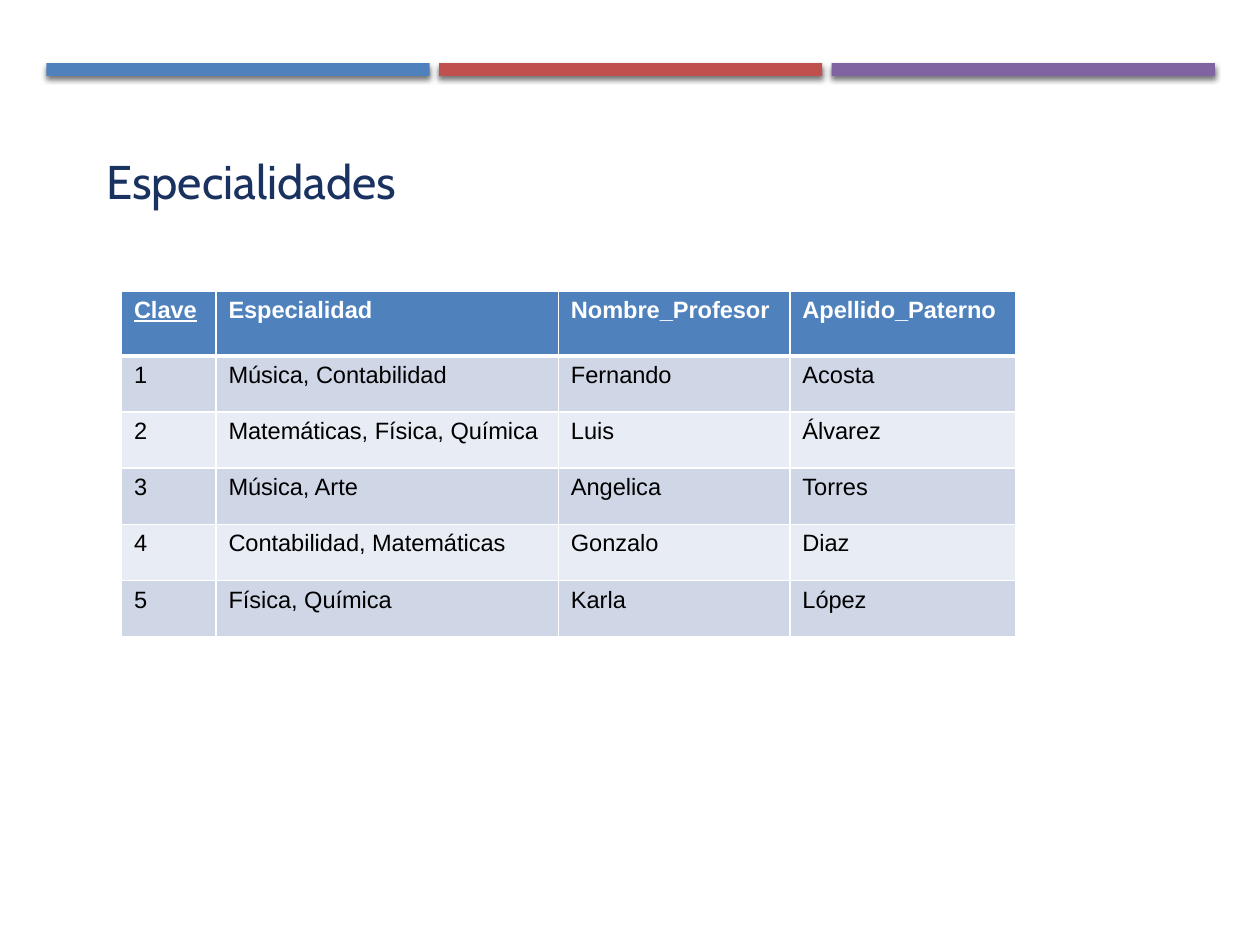
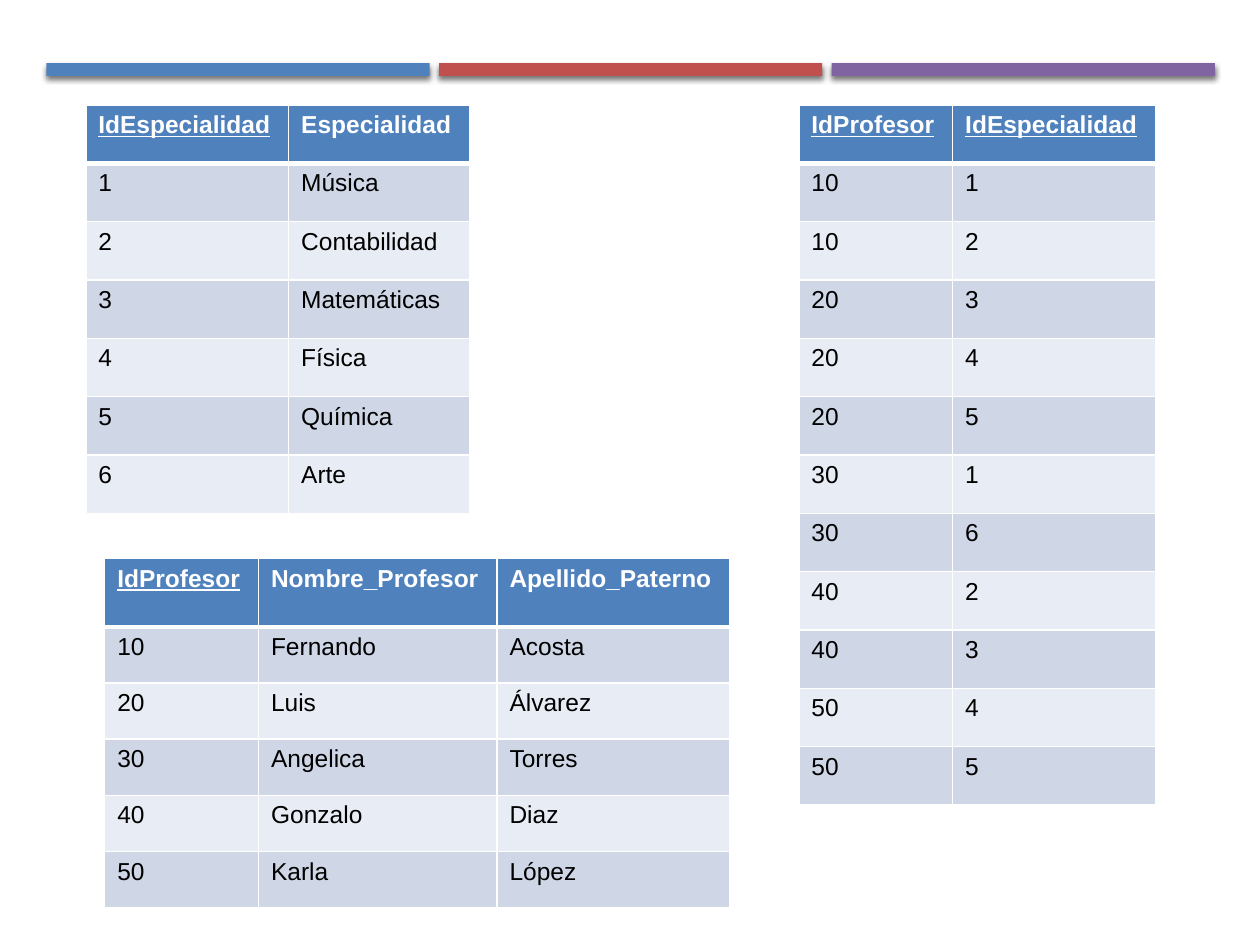
"""Two slides on normalising a table of teachers and their specialities."""
from dataclasses import dataclass

from lxml import etree
from pptx import Presentation
from pptx import util as u
from pptx.dml.color import RGBColor
from pptx.enum import shapes, text
from pptx.oxml import ns

COLORS = {
    "blue": "4F81BD",
    "red": "C0504D",
    "purple": "8064A2",
    "navy": "1A3260",
    "stripe_dark": "CFD7E7",
    "stripe_light": "E8ECF4",
    "white": "FFFFFF",
    "black": "000000",
}
BAND_LEFT, BAND_TOP, BAND_WIDTH, BAND_HEIGHT, BAND_STEP = 26.6, 36, 219, 7.4, 224.3
THIN_BORDER, HEADER_BORDER = 1, 3
TITLE_ONLY, BLANK = 5, 6


@dataclass(frozen=True)
class DataTable:
    """A table: place, measures in points, key columns and content."""
    left: float
    top: float
    widths: tuple[float, ...]
    header_height: float
    row_height: float
    size: float
    keys: frozenset[str]
    header: tuple[str, ...]
    records: tuple[tuple[str, ...], ...]


def rgb(name: str) -> RGBColor:
    """Look up a palette colour."""
    return RGBColor.from_string(COLORS[name])


def write(frame, words: str, *, size: float, color: str, font: str = "Arial",
          bold: bool = False, underline: bool = False) -> None:
    """Put one formatted, left-aligned run into a text frame."""
    paragraph = frame.paragraphs[0]
    paragraph.alignment = text.PP_ALIGN.LEFT
    run = paragraph.add_run()
    run.text = words
    run.font.name = font
    run.font.size = u.Pt(size)
    run.font.bold = bold
    run.font.underline = underline
    run.font.color.rgb = rgb(color)


def add_shadow(shape) -> None:
    """Give a shape a soft shadow that falls straight down."""
    shape.shadow.inherit = False
    effects = shape.element.spPr.find(ns.qn("a:effectLst"))
    shadow = etree.SubElement(effects, ns.qn("a:outerShdw"), blurRad=str(u.Pt(3)),
                              dist=str(u.Pt(2)), dir="5400000", rotWithShape="0")
    tint = etree.SubElement(shadow, ns.qn("a:srgbClr"), val=COLORS["black"])
    etree.SubElement(tint, ns.qn("a:alpha"), val="55000")


def add_master_bands(master, slide) -> None:
    """Draw the three top bands and move them to the master."""
    for place, color in enumerate(("blue", "red", "purple")):
        band = slide.shapes.add_shape(
            shapes.MSO_SHAPE.RECTANGLE, u.Pt(BAND_LEFT + place * BAND_STEP),
            u.Pt(BAND_TOP), u.Pt(BAND_WIDTH), u.Pt(BAND_HEIGHT))
        band.fill.solid()
        band.fill.fore_color.rgb = rgb(color)
        band.line.fill.background()
        add_shadow(band)
        band.element.nvSpPr.cNvPr.set("id", str(100 + place))
        master.shapes.element.append(band.element)


def add_title(slide, words: str) -> None:
    """Place and fill the title placeholder."""
    title = slide.shapes.title
    title.left, title.top = u.Pt(55.4), u.Pt(80.6)
    title.width, title.height = u.Pt(649.4), u.Pt(45.4)
    frame = title.text_frame
    frame.margin_left = frame.margin_right = u.Pt(5.3)
    frame.margin_top = frame.margin_bottom = u.Pt(2.7)
    frame.word_wrap = True
    frame.auto_size = text.MSO_AUTO_SIZE.NONE
    frame.vertical_anchor = text.MSO_ANCHOR.MIDDLE
    write(frame, words, size=27, color="navy", font="Cabin")


def set_borders(cell, top: float, bottom: float) -> None:
    """Give a cell white borders; side borders are thin."""
    properties = cell._tc.get_or_add_tcPr()
    sides = {"lnL": THIN_BORDER, "lnR": THIN_BORDER, "lnT": top, "lnB": bottom}
    for position, (side, width) in enumerate(sides.items()):
        border = etree.Element(ns.qn(f"a:{side}"), w=str(u.Pt(width)))
        fill = etree.SubElement(border, ns.qn("a:solidFill"))
        etree.SubElement(fill, ns.qn("a:srgbClr"), val=COLORS["white"])
        properties.insert(position, border)


def add_data_table(slide, data: DataTable) -> None:
    """Draw a table with a blue header and striped records."""
    rows = (data.header, *data.records)
    height = data.header_height + data.row_height * len(data.records)
    grid = slide.shapes.add_table(
        len(rows), len(data.widths), u.Pt(data.left), u.Pt(data.top),
        u.Pt(sum(data.widths)), u.Pt(height)).table
    for column, width in zip(grid.columns, data.widths):
        column.width = u.Pt(width)
    for row_number, values in enumerate(rows):
        is_header = row_number == 0
        grid.rows[row_number].height = u.Pt(
            data.header_height if is_header else data.row_height)
        stripe = "stripe_dark" if row_number % 2 else "stripe_light"
        for column_number, value in enumerate(values):
            cell = grid.cell(row_number, column_number)
            cell.fill.solid()
            cell.fill.fore_color.rgb = rgb("blue" if is_header else stripe)
            set_borders(cell,
                        top=HEADER_BORDER if row_number == 1 else THIN_BORDER,
                        bottom=HEADER_BORDER if is_header else THIN_BORDER)
            write(cell.text_frame, value, size=data.size, bold=is_header,
                  color="white" if is_header else "black",
                  underline=is_header and value in data.keys)


TEACHERS = (("Fernando", "Acosta"), ("Luis", "Álvarez"), ("Angelica", "Torres"),
            ("Gonzalo", "Diaz"), ("Karla", "López"))
TEACHER_FIELDS = ("Nombre_Profesor", "Apellido_Paterno")
COMBINED = ("Música, Contabilidad", "Matemáticas, Física, Química", "Música, Arte",
            "Contabilidad, Matemáticas", "Física, Química")
SPECIALITIES = ("Música", "Contabilidad", "Matemáticas", "Física", "Química", "Arte")
TAUGHT = {"10": "12", "20": "345", "30": "16", "40": "23", "50": "45"}

unnormalised = DataTable(
    left=69.4, top=166.2, widths=(54, 195.7, 132.3, 129), header_height=37.2,
    row_height=32.1, size=13.5, keys=frozenset({"Clave"}),
    header=("Clave", "Especialidad", *TEACHER_FIELDS),
    records=tuple((str(key), subjects, *teacher) for key, (subjects, teacher)
                  in enumerate(zip(COMBINED, TEACHERS), start=1)))
specialities = DataTable(
    left=49, top=60, widths=(115.9, 103.7), header_height=33.35, row_height=33.35,
    size=14, keys=frozenset({"IdEspecialidad"}),
    header=("IdEspecialidad", "Especialidad"),
    records=tuple((str(key), subject) for key, subject
                  in enumerate(SPECIALITIES, start=1)))
assignments = DataTable(
    left=456.5, top=60, widths=(87.9, 115.9), header_height=33.35, row_height=33.35,
    size=14, keys=frozenset({"IdProfesor", "IdEspecialidad"}),
    header=("IdProfesor", "IdEspecialidad"),
    records=tuple((teacher, subject) for teacher, subjects in TAUGHT.items()
                  for subject in subjects))
teachers = DataTable(
    left=59.8, top=319.2, widths=(87.9, 136.3, 133), header_height=39,
    row_height=32.1, size=14, keys=frozenset({"IdProfesor"}),
    header=("IdProfesor", *TEACHER_FIELDS),
    records=tuple((key, *teacher) for key, teacher in zip(TAUGHT, TEACHERS)))

deck = Presentation()
deck.slide_width, deck.slide_height = u.Pt(720), u.Pt(540)

before = deck.slides.add_slide(deck.slide_layouts[TITLE_ONLY])
add_master_bands(deck.slide_master, before)
add_title(before, "Especialidades")
add_data_table(before, unnormalised)

after = deck.slides.add_slide(deck.slide_layouts[BLANK])
for relation in (specialities, assignments, teachers):
    add_data_table(after, relation)

deck.save("out.pptx")
